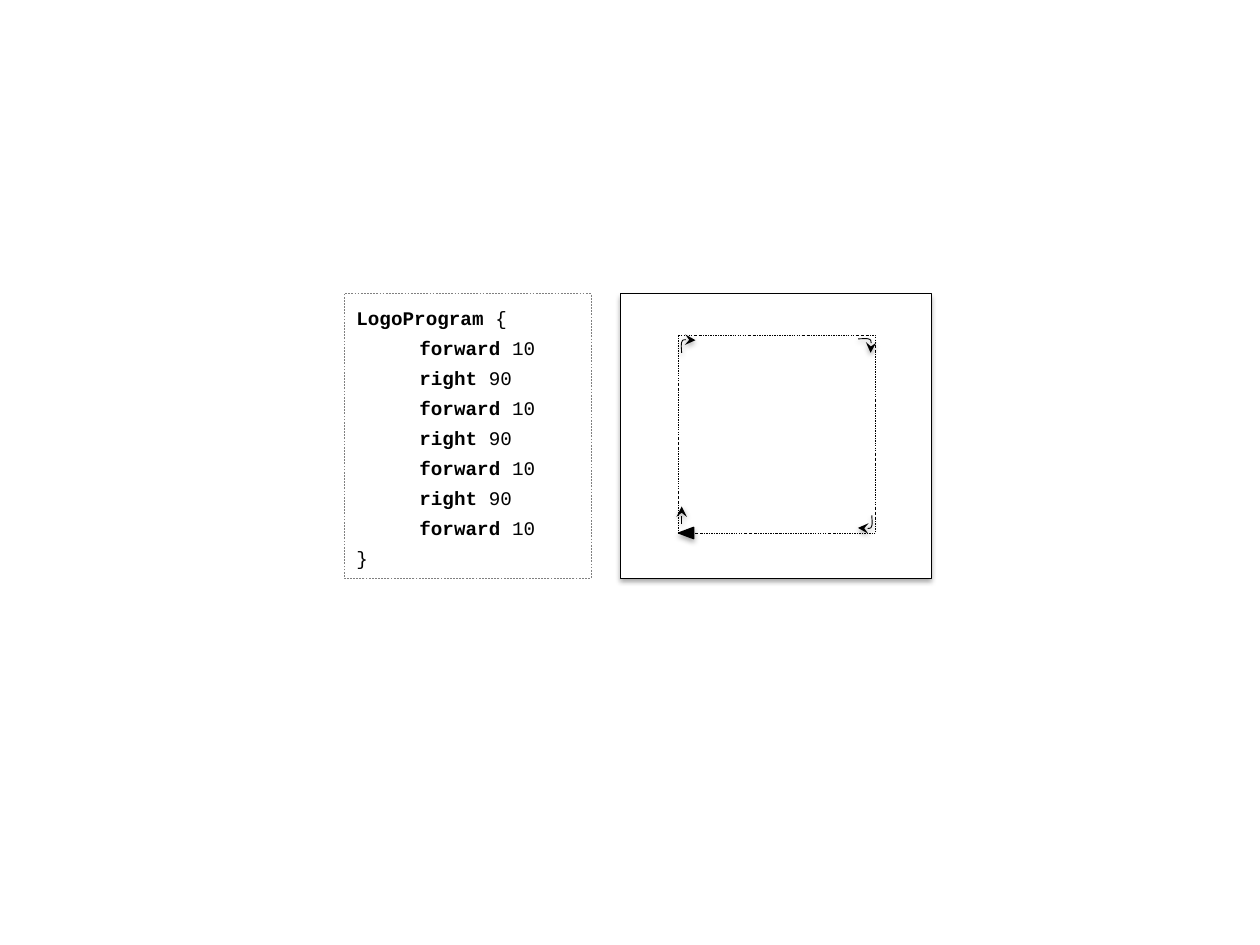
import pptx
import pptx.util
import pptx.dml.color
import pptx.enum.dml
import pptx.enum.shapes
import pptx.enum.text
import pptx.oxml.ns
import lxml.etree

Inches, Pt = pptx.util.Inches, pptx.util.Pt
SHAPES = pptx.enum.shapes.MSO_SHAPE
DASHES = pptx.enum.dml.MSO_LINE

# Content: keyword and the plain text after it
STEPS = [("forward", " 10"), ("right", " 90")] * 3 + [("forward", " 10")]
PROGRAM = [("", "LogoProgram", " {")] + [("\t", *step) for step in STEPS] + [("", "", "}")]

THEME = {
    "font": "Courier New", "size": 11, "spacing": 1.3,
    "ink": "000000", "paper": "FFFFFF", "code_line": "808080",
    "thin": 0.25, "arrow": 0.5, "turtle": 0.75,
}
BOX_SHADOW = (35, 3.1, 1.8)
ARROW_SHADOW = (38, 3.1, 1.6)

# Layout in inches
TOP, HEIGHT = 2.33, 2.26
CODE = (2.73, TOP, 1.96, HEIGHT)
CANVAS = (4.92, TOP, 2.47, HEIGHT)
SQUARE = (5.38, 2.66, 1.57, 1.57)
TURTLE = (5.4, 4.17, 0.09, 0.12)
START_ARROW = ((5.41, 4.16), (5.41, 4.02))
TURN_CURVE = [
    [(5.41, 2.8), (5.41, 2.76), (5.4, 2.72), (5.42, 2.7)],
    [(5.42, 2.7), (5.44, 2.69), (5.52, 2.7), (5.52, 2.7)],
]
TURNS, CURVE_STEPS = 3, 8


def color(name):
    return pptx.dml.color.RGBColor.from_string(THEME[name])


def add_child(parent, tag, **attributes):
    child = lxml.etree.SubElement(parent, pptx.oxml.ns.qn(tag))
    for key, value in attributes.items():
        child.set(key, str(value))
    return child


def style_line(shape, width, ink="ink", dash=None, shadow=None, arrow=False):
    """Set the outline, arrowhead and shadow of a shape or connector."""
    shape.line.color.rgb = color(ink)
    shape.line.width = Pt(THEME[width])
    if dash:
        shape.line.dash_style = dash
    properties = shape._element.spPr
    if arrow:
        outline = properties.find(pptx.oxml.ns.qn("a:ln"))
        add_child(outline, "a:tailEnd", type="stealth")
    effects = add_child(properties, "a:effectLst")
    if shadow:
        opacity, blur, distance = shadow
        outer = add_child(effects, "a:outerShdw", blurRad=Pt(blur), dist=Pt(distance),
                          dir=90 * 60000, rotWithShape=0)
        tint = add_child(outer, "a:srgbClr", val=THEME["ink"])
        add_child(tint, "a:alpha", val=opacity * 1000)


def add_box(page, place, fill="paper", kind=SHAPES.RECTANGLE, width="thin", **line):
    box = page.shapes.add_shape(kind, *map(Inches, place))
    box.fill.solid()
    box.fill.fore_color.rgb = color(fill)
    style_line(box, width, **line)
    return box


def add_span(para, text, bold=False):
    span = para.add_run()
    span.text = text
    span.font.name = THEME["font"]
    span.font.size = Pt(THEME["size"])
    span.font.bold = bold
    span.font.color.rgb = color("ink")


def turn_right(point):
    """Rotate a point a quarter turn clockwise about the square's centre."""
    left, top, width, height = SQUARE
    center_x, center_y = left + width / 2, top + height / 2
    return center_x - (point[1] - center_y), center_y + (point[0] - center_x)


def curve_point(controls, t):
    weights = ((1 - t) ** 3, 3 * t * (1 - t) ** 2, 3 * t ** 2 * (1 - t), t ** 3)
    return tuple(sum(w * p[axis] for w, p in zip(weights, controls)) for axis in (0, 1))


deck = pptx.Presentation()
deck.slide_width, deck.slide_height = Inches(10), Inches(7.5)
page = deck.slides.add_slide(deck.slide_layouts[6])

# Program listing
code = add_box(page, CODE, ink="code_line", dash=DASHES.DASH)
frame = code.text_frame
frame.word_wrap = True
frame.vertical_anchor = pptx.enum.text.MSO_ANCHOR.TOP
for index, (indent, keyword, rest) in enumerate(PROGRAM):
    para = frame.add_paragraph() if index else frame.paragraphs[0]
    para.alignment = pptx.enum.text.PP_ALIGN.LEFT
    para.line_spacing = THEME["spacing"]
    for text, bold in ((indent, False), (keyword, True), (rest, False)):
        if text:
            add_span(para, text, bold)

# Canvas and the square that is walked
add_box(page, CANVAS, shadow=BOX_SHADOW)
add_box(page, SQUARE, dash=DASHES.DASH_DOT)

# One right-turn arrow in each of three corners
points = [TURN_CURVE[0][0]] + [
    curve_point(part, step / CURVE_STEPS)
    for part in TURN_CURVE for step in range(1, CURVE_STEPS + 1)
]
for _ in range(TURNS):
    corners = [(Inches(x), Inches(y)) for x, y in points]
    builder = page.shapes.build_freeform(*corners[0])
    builder.add_line_segments(corners[1:], close=False)
    turn = builder.convert_to_shape()
    turn.fill.background()
    style_line(turn, "arrow", shadow=ARROW_SHADOW, arrow=True)
    points = [turn_right(point) for point in points]

# Turtle and its first move
turtle = add_box(page, TURTLE, fill="ink", kind=SHAPES.ISOSCELES_TRIANGLE,
                 width="turtle", shadow=BOX_SHADOW)
turtle.rotation = 270
start, end = START_ARROW
move = page.shapes.add_connector(pptx.enum.shapes.MSO_CONNECTOR.STRAIGHT,
                                 *map(Inches, start + end))
style_line(move, "arrow", shadow=ARROW_SHADOW, arrow=True)

deck.save("out.pptx")
